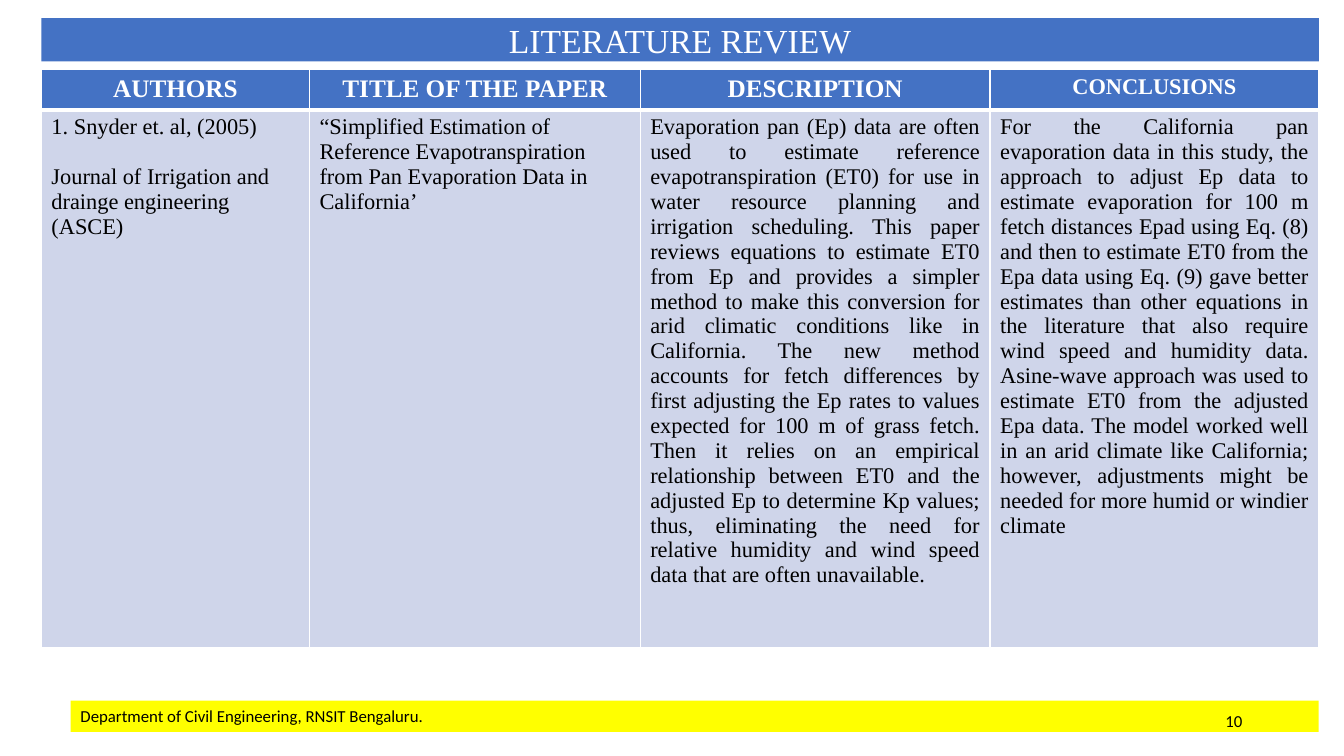
from dataclasses import dataclass
from typing import NamedTuple

from lxml import etree
from pptx import Presentation
from pptx.dml.color import RGBColor
from pptx.enum.shapes import MSO_SHAPE
from pptx.enum.text import MSO_ANCHOR, MSO_AUTO_SIZE, PP_ALIGN
from pptx.oxml.ns import qn
from pptx.util import Emu, Inches, Pt

LEFT, CENTER, RIGHT, JUSTIFY = (
    PP_ALIGN.LEFT, PP_ALIGN.CENTER, PP_ALIGN.RIGHT, PP_ALIGN.JUSTIFY)
MIDDLE, TOP = MSO_ANCHOR.MIDDLE, MSO_ANCHOR.TOP
NO_FIT = MSO_AUTO_SIZE.NONE
RECTANGLE = MSO_SHAPE.RECTANGLE
TITLE_ONLY = 5
SLIDE_W, SLIDE_H = Inches(13.33), Inches(7.5)


@dataclass(frozen=True)
class Theme:
    blue: str = "4472C4"
    pale: str = "CFD5EA"
    yellow: str = "FFFF00"
    white: str = "FFFFFF"
    black: str = "000000"
    serif: str = "Times New Roman"
    sans: str = "Calibri"
    title: int = 24
    header: int = 18
    body: int = 16
    footer: int = 12
    thin: int = 1
    thick: int = 3


class Box(NamedTuple):
    """Left, top, width and height in percent of the slide."""
    x: float
    y: float
    w: float
    h: float


class Column(NamedTuple):
    width: float
    heading: str
    paragraphs: tuple[str, ...]
    align: PP_ALIGN = LEFT
    heading_size: int = Theme.header


THEME = Theme()
TITLE_BOX = Box(3.08, 2.4, 95.05, 5.73)
TABLE_BOX = Box(3.08, 9.2, 95.05, 76.4)
FOOTER_BOX = Box(5.25, 92.67, 92.87, 4.13)
NUMBER_BOX = Box(70.67, 92.67, 22.51, 5.33)
ROW_HEIGHTS = (5.33, 71.07)

COLUMNS = (
    Column(19.95, "AUTHORS", (
        "1. Snyder et. al, (2005)",
        "Journal of Irrigation and drainge engineering (ASCE)")),
    Column(24.61, "TITLE OF THE PAPER", (
        "“Simplified Estimation of Reference Evapotranspiration from Pan "
        "Evaporation Data in California’",)),
    Column(26.03, "DESCRIPTION", (
        "Evaporation pan (Ep) data are often used to estimate reference "
        "evapotranspiration (ET0) for use in water resource planning and "
        "irrigation scheduling. This paper reviews equations to estimate ET0 "
        "from Ep and provides a simpler method to make this conversion for "
        "arid climatic conditions like in California. The new method accounts "
        "for fetch differences by first adjusting the Ep rates to values "
        "expected for 100 m of grass fetch. Then it relies on an empirical "
        "relationship between ET0 and the adjusted Ep to determine Kp values; "
        "thus, eliminating the need for relative humidity and wind speed data "
        "that are often unavailable.",), JUSTIFY),
    Column(24.46, "CONCLUSIONS", (
        "For the California pan evaporation data in this study, the approach "
        "to adjust Ep data to estimate evaporation for 100 m fetch distances "
        "Epad using Eq. (8) and then to estimate ET0 from the Epa data using "
        "Eq. (9) gave better estimates than other equations in the literature "
        "that also require wind speed and humidity data. Asine-wave approach "
        "was used to estimate ET0 from the adjusted Epa data. The model worked "
        "well in an arid climate like California; however, adjustments might "
        "be needed for more humid or windier climate",), JUSTIFY, THEME.body),
)


def across(share: float) -> Emu:
    return Emu(round(SLIDE_W * share / 100))


def down(share: float) -> Emu:
    return Emu(round(SLIDE_H * share / 100))


def place(box: Box) -> tuple[Emu, Emu, Emu, Emu]:
    return across(box.x), down(box.y), across(box.w), down(box.h)


def paint(target, color: str) -> None:
    target.fill.solid()
    target.fill.fore_color.rgb = RGBColor.from_string(color)


def write(tf, *paragraphs: str, size: int, font: str = THEME.serif,
          color: str = THEME.black, bold: bool = False,
          align: PP_ALIGN = LEFT, anchor: MSO_ANCHOR = MIDDLE,
          gap: int = 0) -> None:
    tf.word_wrap = True
    tf.vertical_anchor = anchor
    for i, text in enumerate(paragraphs):
        p = tf.add_paragraph() if i else tf.paragraphs[0]
        p.alignment = align
        p.space_before = Pt(gap if i else 0)
        r = p.add_run()
        r.text = text
        r.font.name, r.font.size, r.font.bold = font, Pt(size), bold
        r.font.color.rgb = RGBColor.from_string(color)


def add_borders(cell, top: int, bottom: int) -> None:
    tc_pr = cell._tc.get_or_add_tcPr()
    sides = {"lnL": THEME.thin, "lnR": THEME.thin, "lnT": top, "lnB": bottom}
    for side, width in sides.items():
        ln = etree.SubElement(tc_pr, qn(f"a:{side}"), w=str(Pt(width)))
        fill = etree.SubElement(ln, qn("a:solidFill"))
        etree.SubElement(fill, qn("a:srgbClr"), val=THEME.white)


def add_title(slide, text: str) -> None:
    sp = slide.shapes.title
    sp.left, sp.top, sp.width, sp.height = place(TITLE_BOX)
    paint(sp, THEME.blue)
    sp.text_frame.auto_size = NO_FIT
    write(sp.text_frame, text, size=THEME.title, color=THEME.white,
          align=CENTER)


def add_review_table(slide) -> None:
    frame = slide.shapes.add_table(len(ROW_HEIGHTS), len(COLUMNS),
                                   *place(TABLE_BOX))
    table = frame.table
    for row, height in zip(table.rows, ROW_HEIGHTS):
        row.height = down(height)
    for i, column in enumerate(COLUMNS):
        table.columns[i].width = across(column.width)
        head, body = table.cell(0, i), table.cell(1, i)
        add_borders(head, THEME.thin, THEME.thick)
        add_borders(body, THEME.thick, THEME.thin)
        paint(head, THEME.blue)
        paint(body, THEME.pale)
        write(head.text_frame, column.heading, size=column.heading_size,
              color=THEME.white, bold=True, align=CENTER, anchor=TOP)
        write(body.text_frame, *column.paragraphs, size=THEME.body,
              align=column.align, anchor=TOP, gap=18)


def add_footer(slide, text: str, number: str) -> None:
    sp = slide.shapes.add_shape(RECTANGLE, *place(FOOTER_BOX))
    sp.shadow.inherit = False
    sp.line.fill.background()
    paint(sp, THEME.yellow)
    write(sp.text_frame, text, size=THEME.footer, font=THEME.sans)
    box = slide.shapes.add_textbox(*place(NUMBER_BOX))
    write(box.text_frame, number, size=THEME.footer, font=THEME.sans,
          align=RIGHT)


def main() -> None:
    prs = Presentation()
    prs.slide_width, prs.slide_height = SLIDE_W, SLIDE_H
    slide = prs.slides.add_slide(prs.slide_layouts[TITLE_ONLY])
    # Heading bar
    add_title(slide, "LITERATURE REVIEW")
    # Reviewed paper
    add_review_table(slide)
    # Footer bar and page number
    add_footer(slide, "Department of Civil Engineering, RNSIT Bengaluru.", "10")
    prs.save("out.pptx")


if __name__ == "__main__":
    main()
